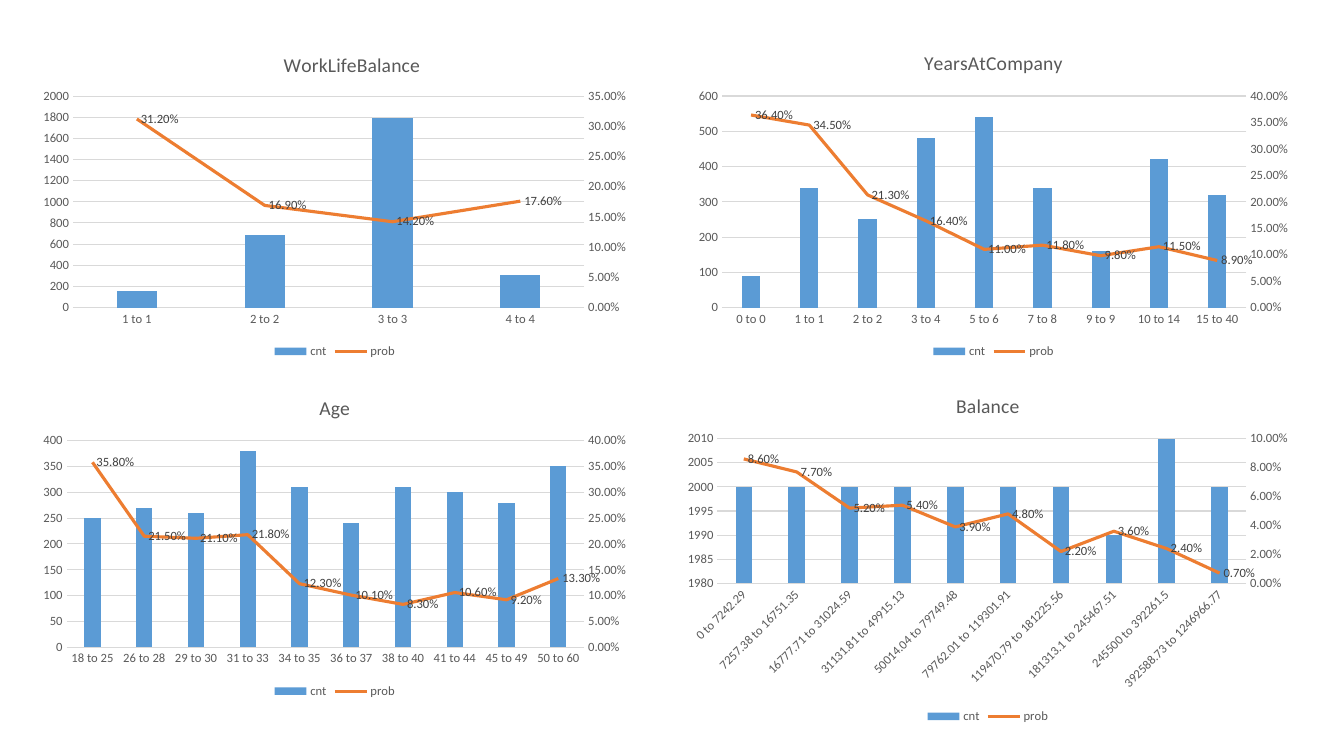
from copy import deepcopy
from dataclasses import dataclass
from typing import Optional

from pptx import Presentation
from pptx.chart.axis import ValueAxis
from pptx.chart.chart import Chart
from pptx.chart.data import CategoryChartData
from pptx.dml.color import RGBColor
from pptx.dml.line import LineFormat
from pptx.enum.chart import (
    XL_CHART_TYPE, XL_LABEL_POSITION, XL_LEGEND_POSITION, XL_MARKER_STYLE, XL_TICK_MARK,
)
from pptx.oxml import parse_xml
from pptx.oxml.ns import nsdecls
from pptx.text.text import Font
from pptx.util import Inches, Pt

COLUMNS = XL_CHART_TYPE.COLUMN_CLUSTERED
BOTTOM = XL_LEGEND_POSITION.BOTTOM
RIGHT = XL_LABEL_POSITION.RIGHT
NO_MARKER = XL_MARKER_STYLE.NONE
NO_TICK = XL_TICK_MARK.NONE

COLOURS = {
    "count": "5B9BD5", "probability": "ED7D31", "grid": "D9D9D9",
    "text": "595959", "label": "404040", "base": "000000",
}
FONT_NAME = "Calibri"
PERCENT = "0.00%"
PERCENT_FORMAT = {"number_format": PERCENT, "number_format_is_linked": False}
TICK_FORMAT = {"major_tick_mark": NO_TICK, "minor_tick_mark": NO_TICK}
COLUMN_FORMAT = {"gap_width": 219, "overlap": -27}
LEGEND_FORMAT = {"position": BOTTOM, "include_in_layout": False}
LABEL_FORMAT = {"show_value": True, "position": RIGHT, **PERCENT_FORMAT}
SLANT = "-2700000"
LINE_AXIS_IDS = {"category": "50010", "value": "50020"}


@dataclass
class Scale:
    minimum: float
    maximum: float
    step: float


@dataclass
class Panel:
    """One chart; place is left, top, width, height in percent of the page."""
    title: str
    place: tuple[float, float, float, float]
    categories: list[str]
    counts: list[int]
    probabilities: list[float]
    count_scale: Scale
    probability_scale: Scale
    slanted: bool = False
    title_place: Optional[tuple[float, float]] = None


PANELS = [
    Panel("WorkLifeBalance", (2.33, 4.53, 45.15, 43.47),
          ["1 to 1", "2 to 2", "3 to 3", "4 to 4"],
          [160, 690, 1790, 310], [0.312, 0.169, 0.142, 0.176],
          Scale(0, 2000, 200), Scale(0, 0.35, 0.05), title_place=(0.41, 0.04)),
    Panel("YearsAtCompany", (51.08, 4.53, 45.68, 43.47),
          ["0 to 0", "1 to 1", "2 to 2", "3 to 4", "5 to 6", "7 to 8", "9 to 9",
           "10 to 14", "15 to 40"],
          [90, 340, 250, 480, 540, 340, 160, 420, 320],
          [0.364, 0.345, 0.213, 0.164, 0.11, 0.118, 0.098, 0.115, 0.089],
          Scale(0, 600, 100), Scale(0, 0.4, 0.05)),
    Panel("Age", (2.33, 50.13, 45.15, 42.8),
          ["18 to 25", "26 to 28", "29 to 30", "31 to 33", "34 to 35", "36 to 37",
           "38 to 40", "41 to 44", "45 to 49", "50 to 60"],
          [250, 270, 260, 380, 310, 240, 310, 300, 280, 350],
          [0.358, 0.215, 0.211, 0.218, 0.123, 0.101, 0.083, 0.106, 0.092, 0.133],
          Scale(0, 400, 50), Scale(0, 0.4, 0.05)),
    Panel("Balance", (50.25, 49.73, 46.5, 46.53),
          ["0 to 7242.29", "7257.38 to 16751.35", "16777.71 to 31024.59",
           "31131.81 to 49915.13", "50014.04 to 79749.48", "79762.01 to 119301.91",
           "119470.79 to 181225.56", "181313.1 to 245467.51", "245500 to 392261.5",
           "392588.73 to 1246966.77"],
          [2000] * 7 + [1990, 2010, 2000],
          [0.086, 0.077, 0.052, 0.054, 0.039, 0.048, 0.022, 0.036, 0.024, 0.007],
          Scale(1980, 2010, 5), Scale(0, 0.1, 0.02), slanted=True),
]


def set_format(target: object, values: dict) -> None:
    for name, value in values.items():
        setattr(target, name, value)


def set_font(font: Font, size: float, colour: str) -> None:
    set_format(font, {"name": FONT_NAME, "size": Pt(size), "bold": False})
    font.color.rgb = RGBColor.from_string(COLOURS[colour])


def set_line(line: LineFormat, width: float, colour: str) -> None:
    line.width = Pt(width)
    line.color.rgb = RGBColor.from_string(COLOURS[colour])


def set_scale(axis: ValueAxis, scale: Scale) -> None:
    set_format(axis, {"minimum_scale": scale.minimum, "maximum_scale": scale.maximum,
                      "major_unit": scale.step})


def add_title(chart: Chart, panel: Panel) -> None:
    span = chart.chart_title.text_frame.paragraphs[0].add_run()
    span.text = panel.title
    set_font(span.font, 14, "text")
    if panel.title_place:
        left, top = panel.title_place
        title = chart._chartSpace.xpath("c:chart/c:title")[0]
        for layout in title.xpath("c:layout"):
            title.remove(layout)
        title.xpath("c:tx")[0].addnext(parse_xml(
            f'<c:layout {nsdecls("c")}><c:manualLayout><c:xMode val="edge"/>'
            f'<c:yMode val="edge"/><c:x val="{left}"/><c:y val="{top}"/>'
            '</c:manualLayout></c:layout>'))


def style_axes(chart: Chart, panel: Panel) -> None:
    for axis in (chart.category_axis, chart.value_axis):
        set_format(axis, TICK_FORMAT)
        set_font(axis.tick_labels.font, 9, "text")
    set_line(chart.category_axis.format.line, 0.75, "grid")
    chart.value_axis.format.line.fill.background()
    set_line(chart.value_axis.major_gridlines.format.line, 0.75, "grid")
    set_scale(chart.value_axis, panel.count_scale)
    if panel.slanted:
        chart._chartSpace.xpath(".//c:catAx/c:txPr/a:bodyPr")[0].set("rot", SLANT)


def move_probability_to_line(chart: Chart, scale: Scale) -> None:
    """Turn the second series into a line on its own axis at the right."""
    plot_area = chart._chartSpace.xpath(".//c:plotArea")[0]
    columns = plot_area.xpath("c:barChart")[0]
    category_id, value_id = LINE_AXIS_IDS["category"], LINE_AXIS_IDS["value"]
    line_plot = parse_xml(
        f'<c:lineChart {nsdecls("c")}><c:grouping val="standard"/><c:varyColors val="0"/>'
        f'<c:marker val="1"/><c:axId val="{category_id}"/><c:axId val="{value_id}"/>'
        '</c:lineChart>')
    series = columns.xpath("c:ser")[1]
    for flag in series.xpath("c:invertIfNegative"):
        series.remove(flag)
    line_plot.insert(2, series)
    columns.addnext(line_plot)

    category_axis = plot_area.xpath("c:catAx")[0]
    value_axis = plot_area.xpath("c:valAx")[0]
    hidden_axis, right_axis = deepcopy(category_axis), deepcopy(value_axis)
    value_axis.addnext(right_axis)
    right_axis.addnext(hidden_axis)
    for axis, own_id, cross_id in ((hidden_axis, category_id, value_id),
                                   (right_axis, value_id, category_id)):
        axis.xpath("c:axId")[0].set("val", own_id)
        axis.xpath("c:crossAx")[0].set("val", cross_id)
    right_axis.xpath("c:axPos")[0].set("val", "r")
    right_axis.xpath("c:crosses")[0].set("val", "max")
    hidden_axis.xpath("c:delete")[0].set("val", "1")

    right = ValueAxis(right_axis)
    right.has_major_gridlines = False
    set_scale(right, scale)
    set_format(right.tick_labels, PERCENT_FORMAT)


def style_series(chart: Chart) -> None:
    columns, lines = chart.plots
    set_format(columns, {**COLUMN_FORMAT, "vary_by_categories": False})
    fill = columns.series[0].format.fill
    fill.solid()
    fill.fore_color.rgb = RGBColor.from_string(COLOURS["count"])
    probability = lines.series[0]
    set_line(probability.format.line, 2.25, "probability")
    probability.marker.style = NO_MARKER
    probability.smooth = False
    set_format(probability.data_labels, LABEL_FORMAT)
    set_font(probability.data_labels.font, 9, "label")


def add_panel(deck, page, panel: Panel) -> None:
    data = CategoryChartData()
    data.categories = panel.categories
    data.add_series("cnt", panel.counts)
    data.add_series("prob", panel.probabilities, number_format=PERCENT)
    sides = (deck.slide_width, deck.slide_height) * 2
    box = [int(side * share / 100) for side, share in zip(sides, panel.place)]
    chart = page.shapes.add_chart(COLUMNS, *box, data).chart
    set_font(chart.font, 10, "base")
    set_format(chart, {"has_title": True, "has_legend": True})
    add_title(chart, panel)
    set_format(chart.legend, LEGEND_FORMAT)
    set_font(chart.legend.font, 9, "text")
    style_axes(chart, panel)
    move_probability_to_line(chart, panel.probability_scale)
    style_series(chart)


if __name__ == "__main__":
    deck = Presentation()
    set_format(deck, {"slide_width": Inches(13.33), "slide_height": Inches(7.5)})
    page = deck.slides.add_slide(deck.slide_layouts[6])
    for panel in PANELS:
        add_panel(deck, page, panel)
    deck.save("out.pptx")
